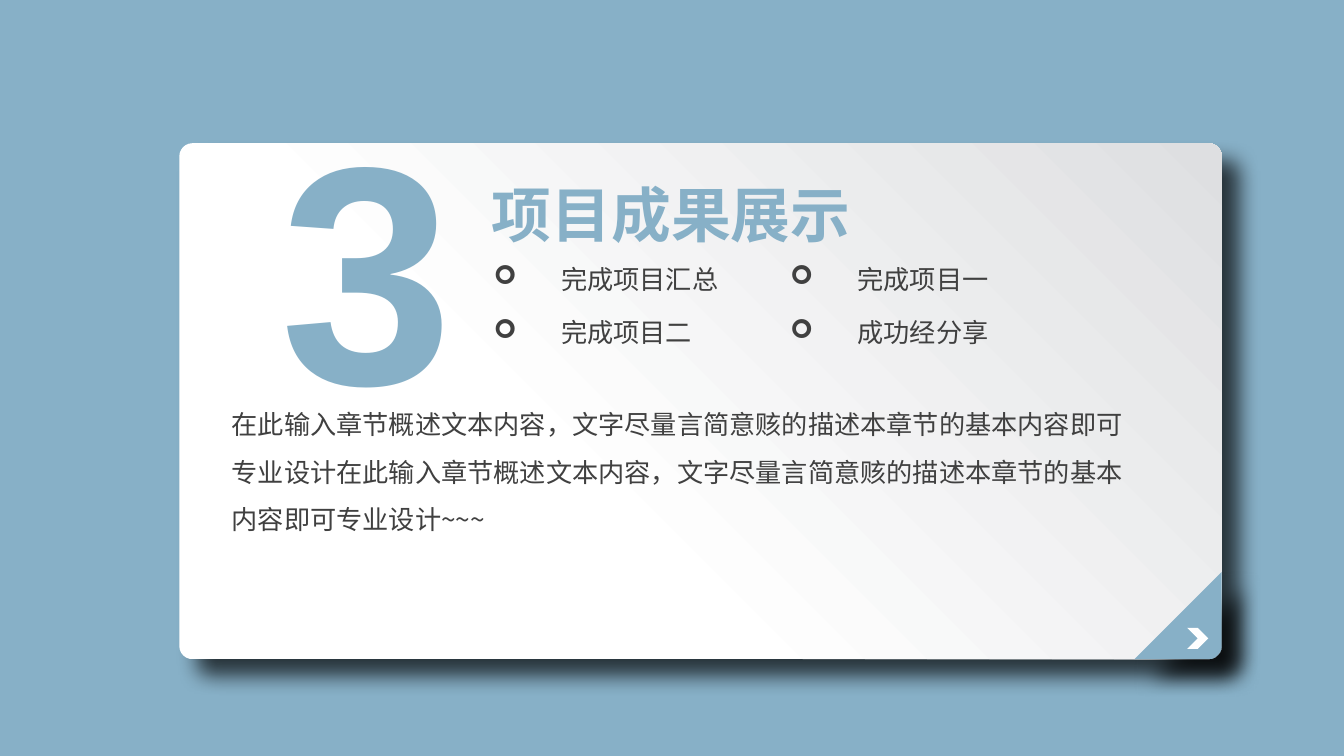
"""Build the section slide for part three, the project results."""
import dataclasses
import math
import typing

import pptx
import pptx.dml.color
import pptx.enum.shapes
import pptx.enum.text
import pptx.oxml
import pptx.oxml.ns
import pptx.util

Cm = pptx.util.Cm
Kind = pptx.enum.shapes.MSO_SHAPE
NS = pptx.oxml.ns.nsdecls("a")


@dataclasses.dataclass(frozen=True)
class Theme:
    """Hold the colours, fonts and type sizes."""
    blue: str = "87B0C7"
    white: str = "FFFFFF"
    mist: str = "DEDFE1"
    ink: str = "404040"
    black: str = "000000"
    latin: str = "Arial"
    hans: str = "Noto Sans CJK SC"
    huge: float = 222
    head: float = 42.7
    body: float = 18.7


@dataclasses.dataclass(frozen=True)
class Box:
    """Hold a frame in centimetres."""
    left: float
    top: float
    width: float
    height: float

    def spans(self) -> typing.Tuple[int, int, int, int]:
        """Give the frame as slide lengths."""
        return Cm(self.left), Cm(self.top), Cm(self.width), Cm(self.height)


@dataclasses.dataclass(frozen=True)
class Label:
    """Describe one block of text."""
    text: str
    box: Box
    size: float
    color: str
    font: str
    bold: bool = False
    wrap: bool = False
    bullet: bool = False
    space: float = 1.0


THEME = Theme()
CARD = Box(4.52, 3.61, 26.27, 13.0)
FOLD = 2.2
ROUND = 0.33
ITEMS = (("完成项目汇总", "完成项目一"), ("完成项目二", "成功经分享"))
BODY = ("在此输入章节概述文本内容，文字尽量言简意赅的描述本章节的基本内容即可"
        "专业设计在此输入章节概述文本内容，文字尽量言简意赅的描述本章节的基本"
        "内容即可专业设计~~~")
NUMBER = Label("3", Box(6.83, 1.73, 4.9, 9.75), THEME.huge, THEME.blue,
               THEME.latin, bold=True)
TITLE = Label("项目成果展示", Box(12.14, 4.34, 9.63, 2.08), THEME.head,
              THEME.blue, THEME.hans, bold=True)
INTRO = Label(BODY, Box(5.59, 9.78, 23.32, 3.86), THEME.body, THEME.ink,
              THEME.hans, wrap=True, space=1.5)


def tint(color: str) -> pptx.dml.color.RGBColor:
    """Turn a hex string into a colour."""
    return pptx.dml.color.RGBColor.from_string(color)


def paint(shape: typing.Any, color: str) -> None:
    """Give a shape a flat fill, no line and no shadow."""
    shape.shadow.inherit = False
    shape.fill.solid()
    shape.fill.fore_color.rgb = tint(color)
    shape.line.fill.background()


def shade(shape: typing.Any) -> None:
    """Cast a soft shadow down and to the right."""
    props = shape.element.spPr
    props.remove(props.find(pptx.oxml.ns.qn("a:effectLst")))
    props.append(pptx.oxml.parse_xml(
        f'<a:effectLst {NS}><a:outerShdw blurRad="{pptx.util.Pt(15)}" '
        f'dist="{pptx.util.Pt(18)}" dir="2700000" algn="tl" rotWithShape="0">'
        f'<a:srgbClr val="{THEME.black}"><a:alpha val="70000"/></a:srgbClr>'
        '</a:outerShdw></a:effectLst>'))


def glow(shape: typing.Any) -> None:
    """Fill a shape with a fade that starts at its top right corner."""
    props = shape.element.spPr
    flat = props.find(pptx.oxml.ns.qn("a:solidFill"))
    props.replace(flat, pptx.oxml.parse_xml(
        f'<a:gradFill {NS} rotWithShape="1"><a:gsLst>'
        f'<a:gs pos="0"><a:srgbClr val="{THEME.mist}"/></a:gs>'
        f'<a:gs pos="64000"><a:srgbClr val="{THEME.white}"/></a:gs></a:gsLst>'
        '<a:path path="circle"><a:fillToRect l="100000" b="100000"/></a:path>'
        '</a:gradFill>'))


def write(shape: typing.Any, label: Label) -> None:
    """Place a text shape and set its one run."""
    shape.left, shape.top, shape.width, shape.height = label.box.spans()
    frame = shape.text_frame
    frame.word_wrap = label.wrap
    frame.auto_size = pptx.enum.text.MSO_AUTO_SIZE.SHAPE_TO_FIT_TEXT
    frame.vertical_anchor = pptx.enum.text.MSO_ANCHOR.TOP
    para = frame.paragraphs[0]
    para.alignment = pptx.enum.text.PP_ALIGN.LEFT
    para.line_spacing = label.space
    if label.bullet:
        props = para._p.get_or_add_pPr()
        props.set("marL", str(Cm(1.7)))
        props.set("indent", str(-Cm(1.7)))
        for part in (f'<a:buFont {NS} typeface="Wingdings"/>',
                     f'<a:buChar {NS} char="➢"/>'):
            props.append(pptx.oxml.parse_xml(part))
    run = para.add_run()
    run.text = label.text
    run.font.size = pptx.util.Pt(label.size)
    run.font.bold = label.bold
    run.font.name = label.font
    run.font.color.rgb = tint(label.color)
    run.font._element.find(pptx.oxml.ns.qn("a:latin")).addnext(
        pptx.oxml.parse_xml(f'<a:ea {NS} typeface="{label.font}"/>'))


def draw_card(shapes: typing.Any) -> None:
    """Draw the card, its folded corner and the arrow on it."""
    card = shapes.add_shape(Kind.ROUNDED_RECTANGLE, *CARD.spans())
    card.adjustments[0] = ROUND / CARD.height
    paint(card, THEME.white)
    glow(card)
    shade(card)
    right, base = CARD.left + CARD.width, CARD.top + CARD.height
    turns = [math.radians(step * 15) for step in range(7)]
    arc = [(right - ROUND + ROUND * math.cos(turn),
            base - ROUND + ROUND * math.sin(turn)) for turn in turns]
    spots = [(x * 100, y * 100) for x, y in arc + [(right - FOLD, base)]]
    pen = shapes.build_freeform(right * 100, (base - FOLD) * 100,
                                scale=float(Cm(0.01)))
    pen.add_line_segments(spots)
    fold = pen.convert_to_shape()
    paint(fold, THEME.blue)
    shade(fold)
    arrow = shapes.add_shape(Kind.CHEVRON, *Box(29.92, 15.82, 0.53, 0.53).spans())
    paint(arrow, THEME.white)


def list_items() -> typing.List[Label]:
    """Lay the bullet items out in a grid."""
    return [Label(text, Box(12.19 + col * 7.47, 6.5 + row * 1.35,
                            2.24 + 0.66 * len(text), 1.07),
                  THEME.body, THEME.ink, THEME.hans, bullet=True)
            for row, texts in enumerate(ITEMS)
            for col, text in enumerate(texts)]


def main() -> None:
    """Build and save the deck."""
    deck = pptx.Presentation()
    deck.slide_width, deck.slide_height = Cm(33.87), Cm(19.05)
    slide = deck.slides.add_slide(deck.slide_layouts.get_by_name("Title Only"))
    slide.background.fill.solid()
    slide.background.fill.fore_color.rgb = tint(THEME.blue)
    shapes = slide.shapes
    draw_card(shapes)
    title = shapes.title
    title.element.getparent().append(title.element)
    write(title, TITLE)
    for label in [NUMBER, *list_items(), INTRO]:
        write(shapes.add_textbox(*label.box.spans()), label)
    deck.save("out.pptx")


if __name__ == "__main__":
    main()
